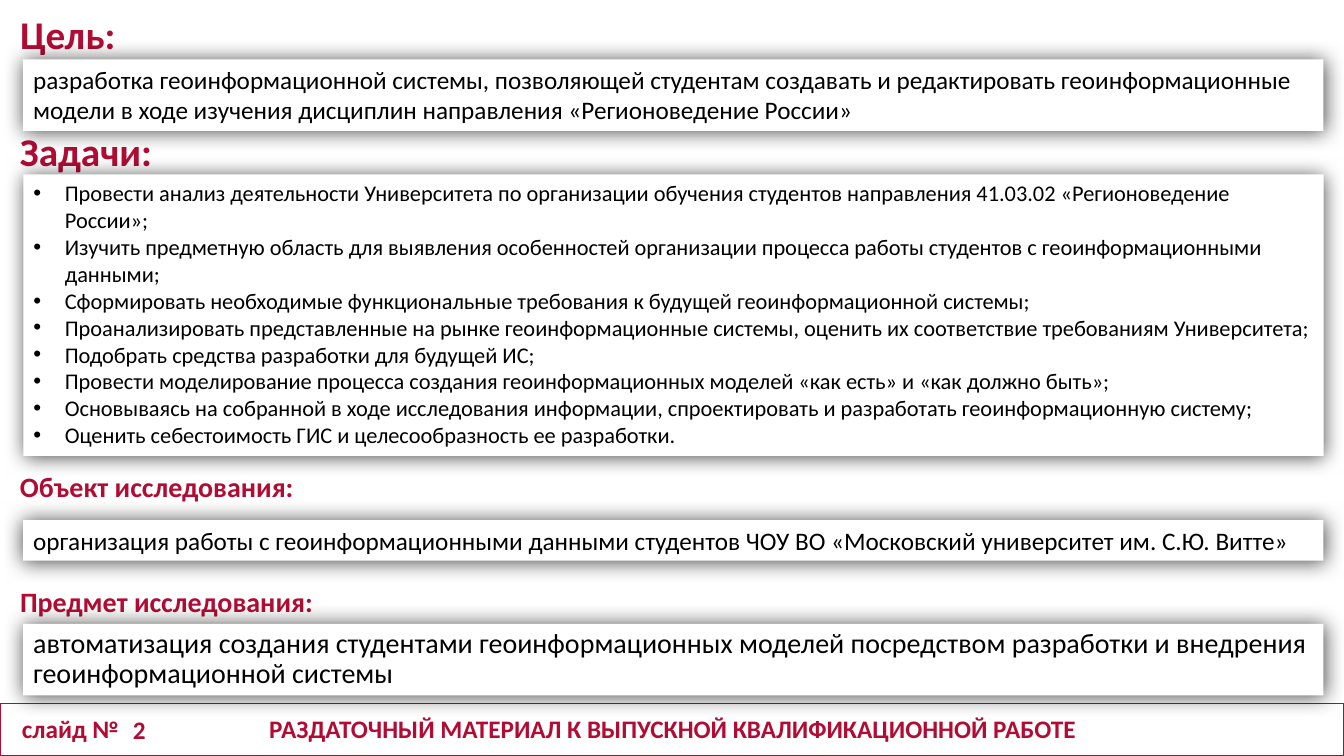
from dataclasses import dataclass

from lxml import etree
from pptx import Presentation
from pptx.dml.color import RGBColor
from pptx.enum import shapes, text
from pptx.oxml import ns
from pptx.util import Pt


@dataclass(frozen=True)
class Theme:
    font: str = "Calibri"
    accent: RGBColor = RGBColor(0xB1, 0x0C, 0x34)
    ink: RGBColor = RGBColor(0, 0, 0)
    paper: RGBColor = RGBColor(0xFF, 0xFF, 0xFF)
    heading: int = 28
    large: int = 20
    normal: int = 18
    small: int = 16


THEME = Theme()
HEADING_LEFT = 7.2
PANEL_LEFT, PANEL_WIDTH = 16.6, 928.8
INDENT = 22.5

GOAL = ("разработка геоинформационной системы, позволяющей студентам создавать и редактировать "
        "геоинформационные модели в ходе изучения дисциплин направления «Регионоведение России»")
TASKS = [
    "Провести анализ деятельности Университета по организации обучения студентов "
    "направления 41.03.02 «Регионоведение России»;",
    "Изучить предметную область для выявления особенностей организации процесса работы "
    "студентов с геоинформационными данными;",
    "Сформировать необходимые функциональные требования к будущей геоинформационной системы;",
    "Проанализировать представленные на рынке геоинформационные системы, оценить их "
    "соответствие требованиям Университета;",
    "Подобрать средства разработки для будущей ИС;",
    "Провести моделирование процесса создания геоинформационных моделей «как есть» и «как должно быть»;",
    "Основываясь на собранной в ходе исследования информации, спроектировать и разработать "
    "геоинформационную систему;",
    "Оценить себестоимость ГИС и целесообразность ее разработки.",
]
RESEARCH_OBJECT = ("организация работы с геоинформационными данными студентов "
                   "ЧОУ ВО «Московский университет им. С.Ю. Витте»")
RESEARCH_SUBJECT = ("автоматизация создания студентами геоинформационных моделей "
                    "посредством разработки и внедрения геоинформационной системы")


def place(sp, left, top, width, height):
    sp.left, sp.top, sp.width, sp.height = Pt(left), Pt(top), Pt(width), Pt(height)


def add_bullet(p):
    pPr = p._p.get_or_add_pPr()
    pPr.set("marL", str(Pt(INDENT)))
    pPr.set("indent", str(-Pt(INDENT)))
    etree.SubElement(pPr, ns.qn("a:buFont"), typeface="Arial")
    etree.SubElement(pPr, ns.qn("a:buChar"), char="•")


def write(sp, lines, size, color, bold=False, align=text.PP_ALIGN.LEFT,
          wrap=True, bullets=False, spacing=1.0):
    tf = sp.text_frame
    tf.word_wrap = wrap
    tf.auto_size = text.MSO_AUTO_SIZE.NONE
    tf.vertical_anchor = text.MSO_ANCHOR.TOP
    tf.margin_left = tf.margin_right = Pt(7.2)
    tf.margin_top = tf.margin_bottom = Pt(3.6)
    for i, line in enumerate(lines):
        p = tf.paragraphs[0] if i == 0 else tf.add_paragraph()
        if bullets:
            add_bullet(p)
        p.alignment = align
        p.space_before = Pt(0)
        p.line_spacing = spacing
        r = p.add_run()
        r.text = line
        r.font.name = THEME.font
        r.font.size = Pt(size)
        r.font.bold = bold
        r.font.color.rgb = color


def add_label(s, label, left, top, width, height, size, align=text.PP_ALIGN.LEFT):
    sp = s.shapes.add_textbox(Pt(left), Pt(top), Pt(width), Pt(height))
    write(sp, [label], size, THEME.accent, bold=True, align=align, wrap=False)
    return sp


def add_soft_shadow(sp):
    effects = etree.SubElement(sp._element.spPr, ns.qn("a:effectLst"))
    shadow = etree.SubElement(effects, ns.qn("a:outerShdw"), blurRad=str(Pt(15)),
                              algn="tl", rotWithShape="0")
    black = etree.SubElement(shadow, ns.qn("a:srgbClr"), val="000000")
    etree.SubElement(black, ns.qn("a:alpha"), val="70000")


def style_panel(sp, top, height):
    place(sp, PANEL_LEFT, top, PANEL_WIDTH, height)
    sp.fill.solid()
    sp.fill.fore_color.rgb = THEME.paper
    sp.line.fill.background()
    add_soft_shadow(sp)


def add_panel(s, content, top, height, size, spacing=1.0):
    sp = s.shapes.add_shape(shapes.MSO_SHAPE.RECTANGLE, 0, 0, 0, 0)
    style_panel(sp, top, height)
    write(sp, [content], size, THEME.ink, spacing=spacing)


def add_footer(s):
    sp = s.shapes.add_shape(shapes.MSO_SHAPE.RECTANGLE, 0, Pt(502.6), Pt(960), Pt(37.4))
    sp.shadow.inherit = False
    sp.fill.background()
    sp.line.color.rgb = THEME.accent
    sp.line.width = Pt(1)
    add_label(s, "слайд №", 8.6, 506.2, 88.6, 29, THEME.normal)
    add_label(s, "РАЗДАТОЧНЫЙ МАТЕРИАЛ К ВЫПУСКНОЙ КВАЛИФИКАЦИОННОЙ РАБОТЕ",
              177.1, 506.2, 607, 29, THEME.normal, text.PP_ALIGN.CENTER)


def add_tasks(s, body, top, height):
    s.shapes._spTree.append(body._element)
    style_panel(body, top, height)
    write(body, TASKS, THEME.small, THEME.ink, bullets=True)


def main():
    prs = Presentation()
    prs.slide_width, prs.slide_height = Pt(960), Pt(540)
    s = prs.slides.add_slide(prs.slide_layouts[1])
    title, body = s.placeholders

    add_footer(s)
    place(title, HEADING_LEFT, 3.6, 83.5, 41)
    write(title, ["Цель:"], THEME.heading, THEME.accent, bold=True, wrap=False)
    add_label(s, "Задачи:", HEADING_LEFT, 87.1, 116, 41, THEME.heading)
    add_label(s, "Объект исследования:", HEADING_LEFT, 331.9, 213, 31.7, THEME.large)
    subject = add_label(s, "Предмет исследования:", HEADING_LEFT, 414, 224.6, 31.7, THEME.large)
    subject.fill.solid()
    subject.fill.fore_color.rgb = THEME.paper

    add_panel(s, GOAL, 42.5, 51, THEME.normal)
    add_tasks(s, body, 124.6, 201)
    add_panel(s, RESEARCH_OBJECT, 371.5, 29, THEME.normal)
    add_panel(s, RESEARCH_SUBJECT, 445.7, 51, THEME.large, spacing=0.9)
    add_label(s, "2", 87.8, 506.9, 36, 29, THEME.normal)
    prs.save("out.pptx")


if __name__ == "__main__":
    main()
